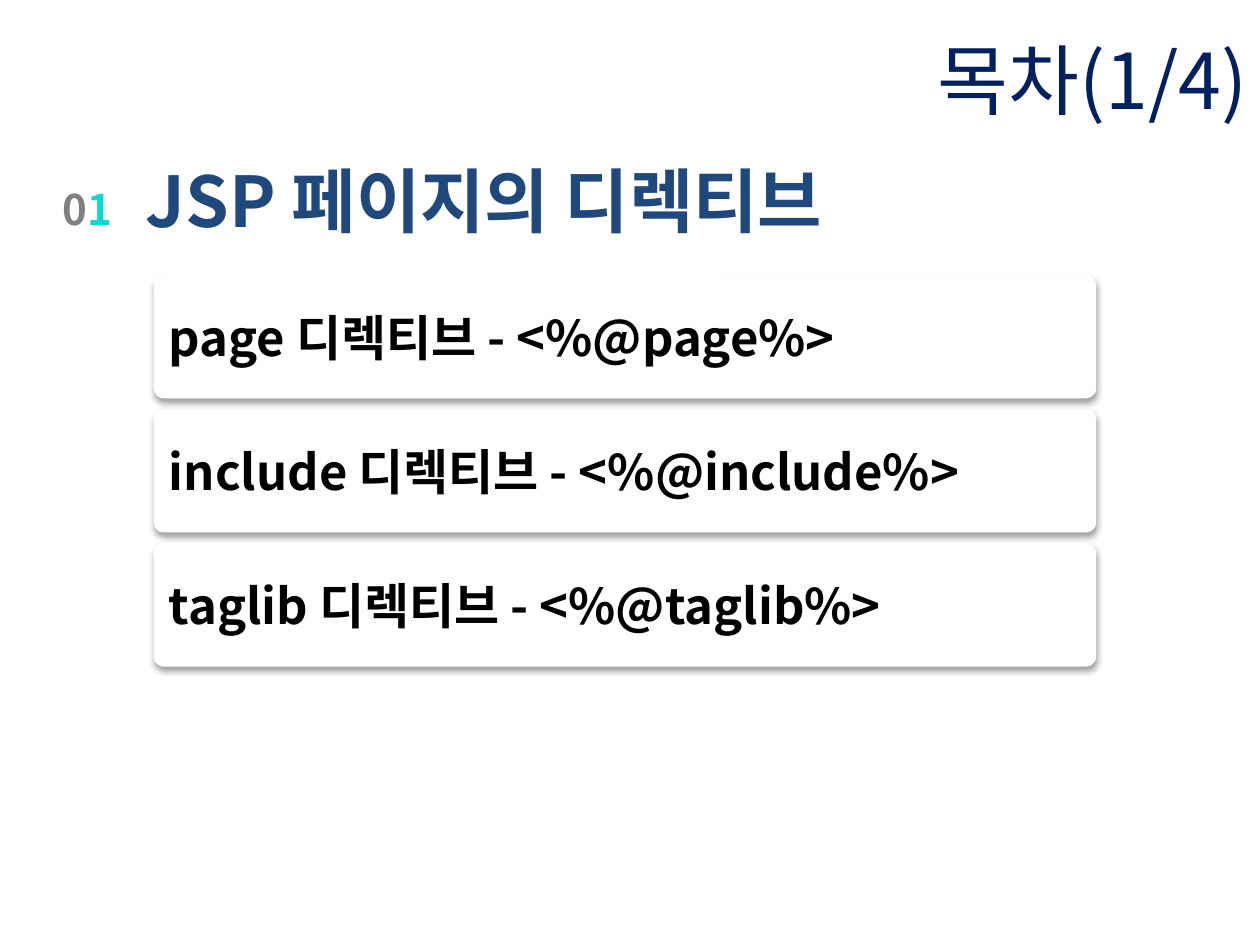
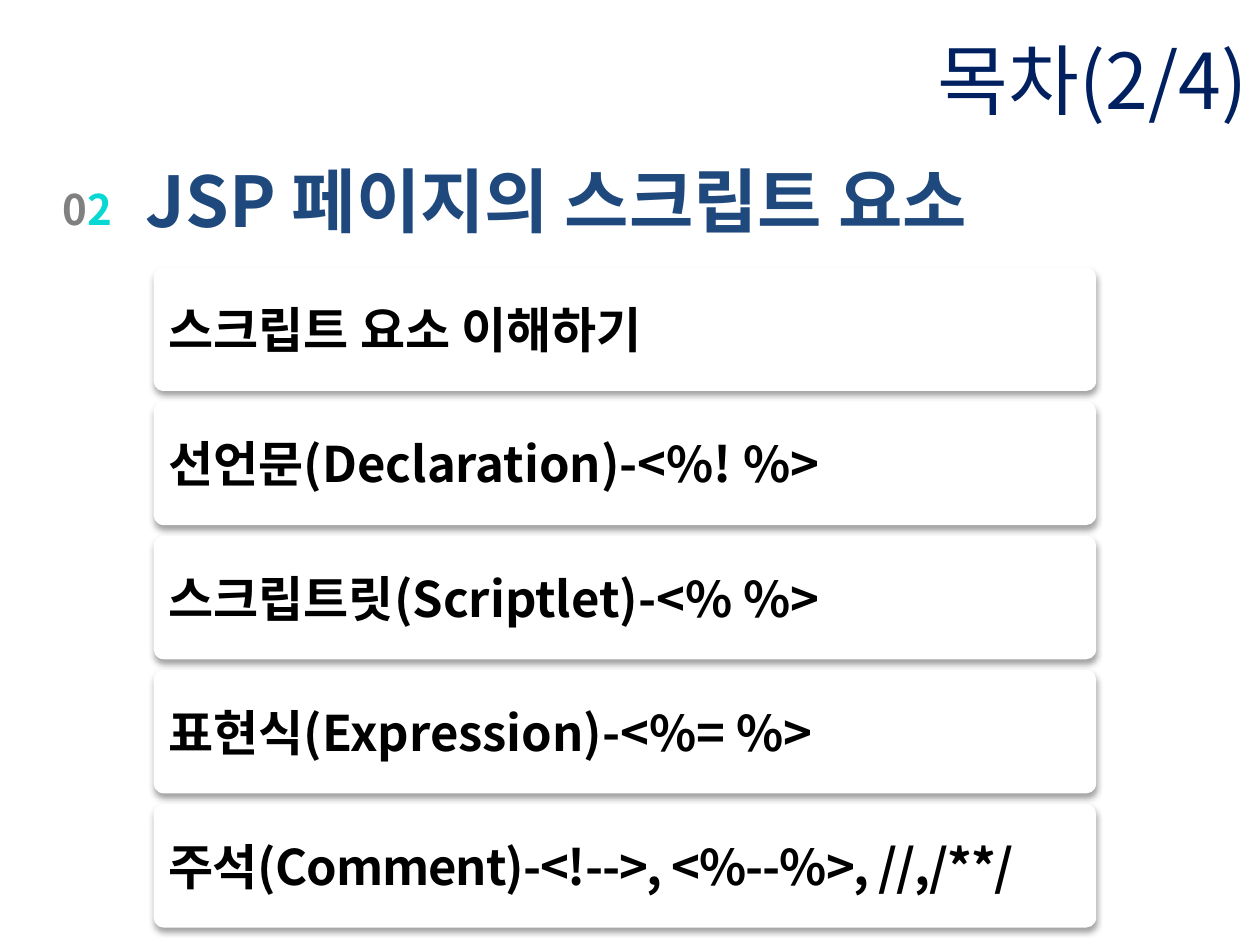
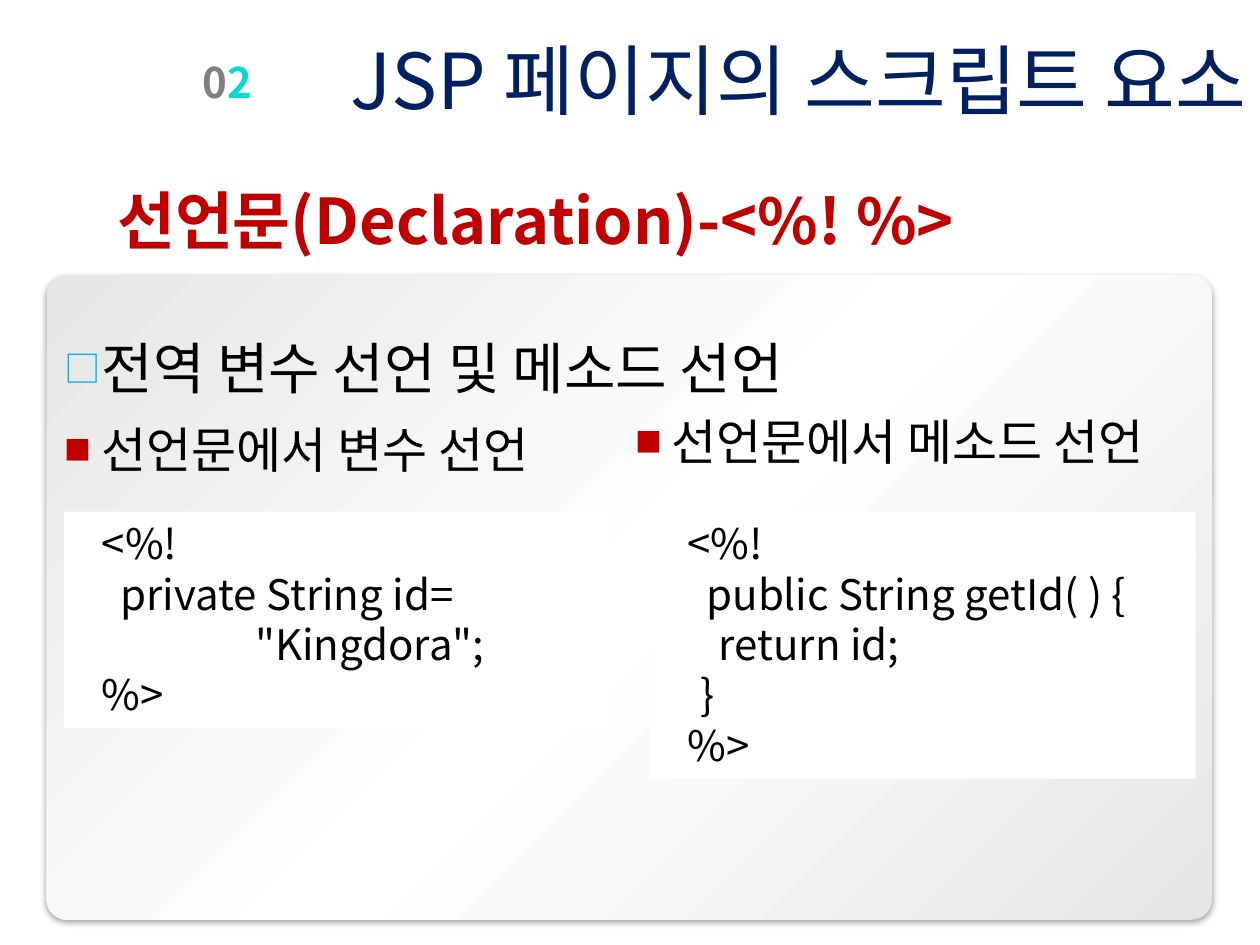
from lxml.etree import SubElement
from copy import deepcopy
from pptx import Presentation
from pptx.dml.color import RGBColor
from pptx.enum.shapes import MSO_SHAPE
from pptx.enum.text import MSO_ANCHOR, MSO_AUTO_SIZE, PP_ALIGN
from pptx.oxml.ns import qn
from pptx.util import Pt

FONT = "Noto Sans CJK KR"
COLORS = {
    "title": "002060", "heading": "1F497D", "red": "C00000", "black": "000000",
    "gray": "808080", "cyan": "07D8D3", "blue": "00B0F0", "white": "FFFFFF", "panel": "E6E6E6",
}


def style(p, size, color, bold=False, align=PP_ALIGN.LEFT, spacing=None, bullet=None):
    pPr = p._p.get_or_add_pPr()
    if bullet:
        char, bullet_color, percent = bullet
        pPr.set("marL", str(Pt(21)))
        pPr.set("indent", str(-Pt(21)))
        clr = SubElement(pPr, qn("a:buClr"))
        SubElement(clr, qn("a:srgbClr"), val=COLORS[bullet_color])
        SubElement(pPr, qn("a:buSzPct"), val=str(percent * 1000))
        SubElement(pPr, qn("a:buFont"), typeface=FONT)
        SubElement(pPr, qn("a:buChar"), char=char)
    p.alignment = align
    p.line_spacing = Pt(spacing or round(size * 1.2, 1))
    for r in p.runs:
        r.font.size = Pt(size)
        r.font.bold = bold
        r.font.color.rgb = RGBColor.from_string(COLORS[color])
        r.font.name = FONT
        SubElement(r._r.get_or_add_rPr(), qn("a:ea"), typeface=FONT)


def add_panel(s, left, top, width, height, corner):
    sp = s.shapes.add_shape(MSO_SHAPE.ROUNDED_RECTANGLE, Pt(left), Pt(top), Pt(width), Pt(height))
    sp.adjustments[0] = corner
    sp.fill.solid()
    sp.fill.fore_color.rgb = RGBColor.from_string(COLORS["white"])
    sp.line.fill.background()
    sp.shadow.inherit = False
    effects = sp._element.spPr.find(qn("a:effectLst"))
    shadow = SubElement(effects, qn("a:outerShdw"), blurRad=str(Pt(3.5)), dist=str(Pt(2.2)),
                        dir="5400000", rotWithShape="0")
    clr = SubElement(shadow, qn("a:srgbClr"), val=COLORS["black"])
    SubElement(clr, qn("a:alpha"), val="36000")
    return sp


prs = Presentation()
prs.slide_width, prs.slide_height = Pt(720), Pt(540)

pages = [
    {"title": "목차(1/4)", "number": "1", "badge": (24.5, 101.5),
     "heading": "JSP 페이지의 디렉티브", "heading_box": (76.3, 88.6, 431, 54),
     "heading_style": (40, "heading", 46), "cards_top": 157,
     "cards": ["page 디렉티브 - <%@page%>", "include 디렉티브 - <%@include%>",
               "taglib 디렉티브 - <%@taglib%>"]},
    {"title": "목차(2/4)", "number": "2", "badge": (24.5, 101.5),
     "heading": "JSP 페이지의 스크립트 요소", "heading_box": (76.3, 88.6, 526, 54),
     "heading_style": (40, "heading", 46), "cards_top": 152.8,
     "cards": ["스크립트 요소 이해하기", "선언문(Declaration)-<%! %>", "스크립트릿(Scriptlet)-<% %>",
               "표현식(Expression)-<%= %>", "주석(Comment)-<!-->, <%--%>, //,/**/"]},
    {"title": "JSP 페이지의 스크립트 요소", "number": "2", "badge": (104.4, 28.8),
     "heading": "선언문(Declaration)-<%! %>", "heading_box": (59.8, 100, 502, 51),
     "heading_style": (36, "red", 43.2), "cards_top": 0, "cards": []},
]

for page in pages:
    s = prs.slides.add_slide(prs.slide_layouts[5])
    title = s.shapes.title
    title.left, title.top, title.width, title.height = Pt(0), Pt(0), Pt(720), Pt(90)
    tf = title.text_frame
    tf.text = page["title"]
    tf.auto_size = MSO_AUTO_SIZE.NONE
    tf.vertical_anchor = MSO_ANCHOR.MIDDLE
    style(tf.paragraphs[0], 44, "title", align=PP_ALIGN.RIGHT)

    tf = s.shapes.add_textbox(*map(Pt, page["heading_box"])).text_frame
    tf.text = page["heading"]
    size, color, spacing = page["heading_style"]
    style(tf.paragraphs[0], size, color, True, spacing=spacing)

    left, top = page["badge"]
    tf = s.shapes.add_textbox(Pt(left), Pt(top), Pt(51), Pt(36)).text_frame
    tf.word_wrap = True
    p = tf.paragraphs[0]
    for digit in ("0", page["number"]):
        p.add_run().text = digit
    style(p, 24, "gray", True, PP_ALIGN.CENTER)
    p.runs[1].font.color.rgb = RGBColor.from_string(COLORS["cyan"])

    for i, text in enumerate(page["cards"]):
        card = add_panel(s, 87.8, page["cards_top"] + i * 76.65, 538.6, 70.6, 0.081)
        tf = card.text_frame
        tf.text = text
        tf.vertical_anchor = MSO_ANCHOR.MIDDLE
        style(tf.paragraphs[0], 28, "black", True, PP_ALIGN.JUSTIFY)
        if text.startswith("주석"):
            tf.paragraphs[0].runs[0]._r.get_or_add_rPr().set("spc", "-60")

panel = add_panel(s, 26.6, 157, 666, 368.6, 0.032)
panel.fill.gradient()
panel.fill.gradient_angle = 315
stops = panel._element.spPr.find(qn("a:gradFill")).find(qn("a:gsLst"))
stops.insert(1, deepcopy(stops[0]))
for stop, position, color in zip(panel.fill.gradient_stops, (0, 0.5, 1), ("panel", "white", "panel")):
    stop.position = position
    stop.color.rgb = RGBColor.from_string(COLORS[color])

square = ("■", "red", 55)
tf = panel.text_frame
tf.text = "전역 변수 선언 및 메소드 선언\n선언문에서 변수 선언"
tf.vertical_anchor = MSO_ANCHOR.TOP
tf.margin_top = Pt(30)
style(tf.paragraphs[0], 32, "black", bullet=("□", "blue", 65))
style(tf.paragraphs[1], 28, "black", bullet=square)
tf.paragraphs[1].space_before = Pt(11)

tf = s.shapes.add_textbox(Pt(360), Pt(231.8), Pt(327), Pt(41)).text_frame
tf.word_wrap = True
tf.margin_left = tf.margin_right = Pt(2.9)
tf.text = "선언문에서 메소드 선언"
style(tf.paragraphs[0], 28, "black", bullet=square)

listings = [
    (36.7, 123.8, ["<%!", "  private String id=", '                   "Kingdora";', "%>"]),
    (371.5, 152.6, ["<%!", "  public String getId( ) {", "      return id;", "    }", "%>"]),
]
for left, height, lines in listings:
    sp = s.shapes.add_shape(MSO_SHAPE.RECTANGLE, Pt(left), Pt(292.3), Pt(311.8), Pt(height))
    sp.shadow.inherit = False
    sp.fill.solid()
    sp.fill.fore_color.rgb = RGBColor.from_string(COLORS["white"])
    sp.line.fill.background()
    tf = sp.text_frame
    tf.vertical_anchor = MSO_ANCHOR.TOP
    tf.text = "\n".join(lines)
    for p in tf.paragraphs:
        style(p, 24, "black")
        if not p.text.startswith("    "):
            p._p.get_or_add_pPr().set("marL", str(Pt(14.4)))

prs.save("out.pptx")
